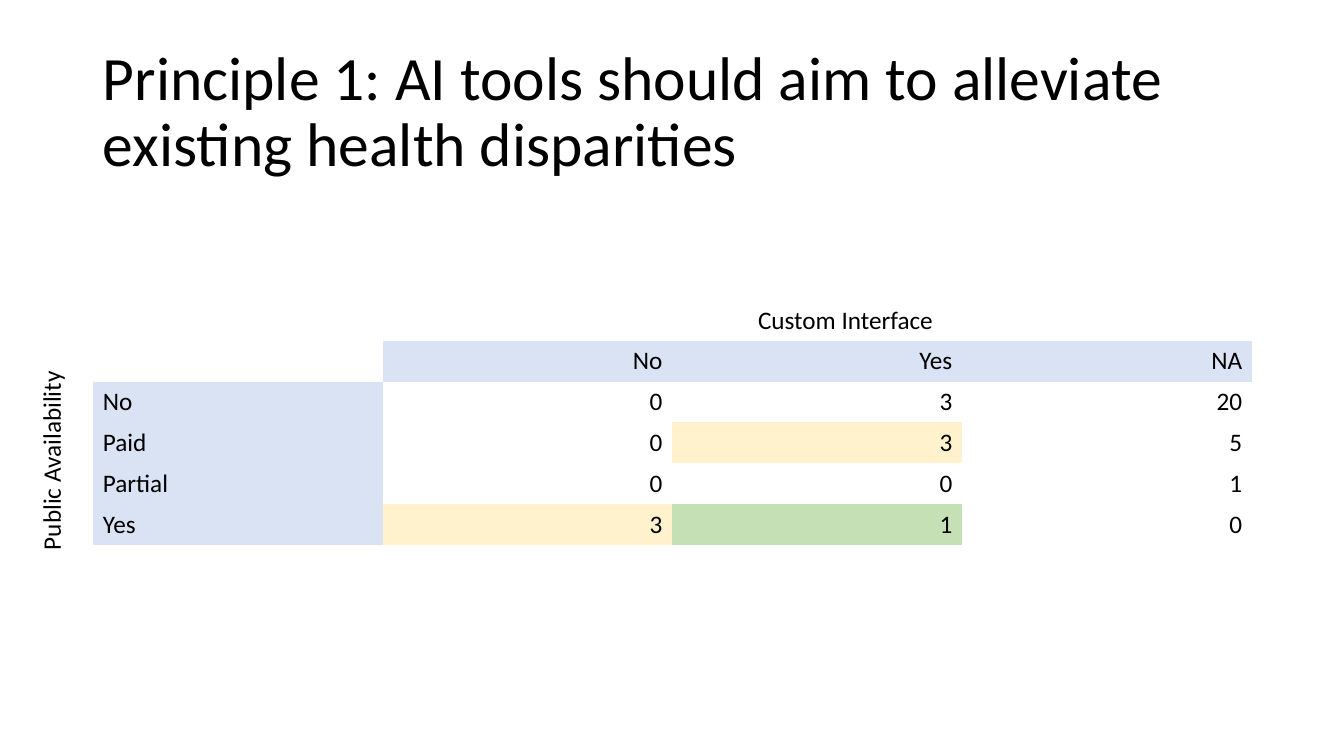
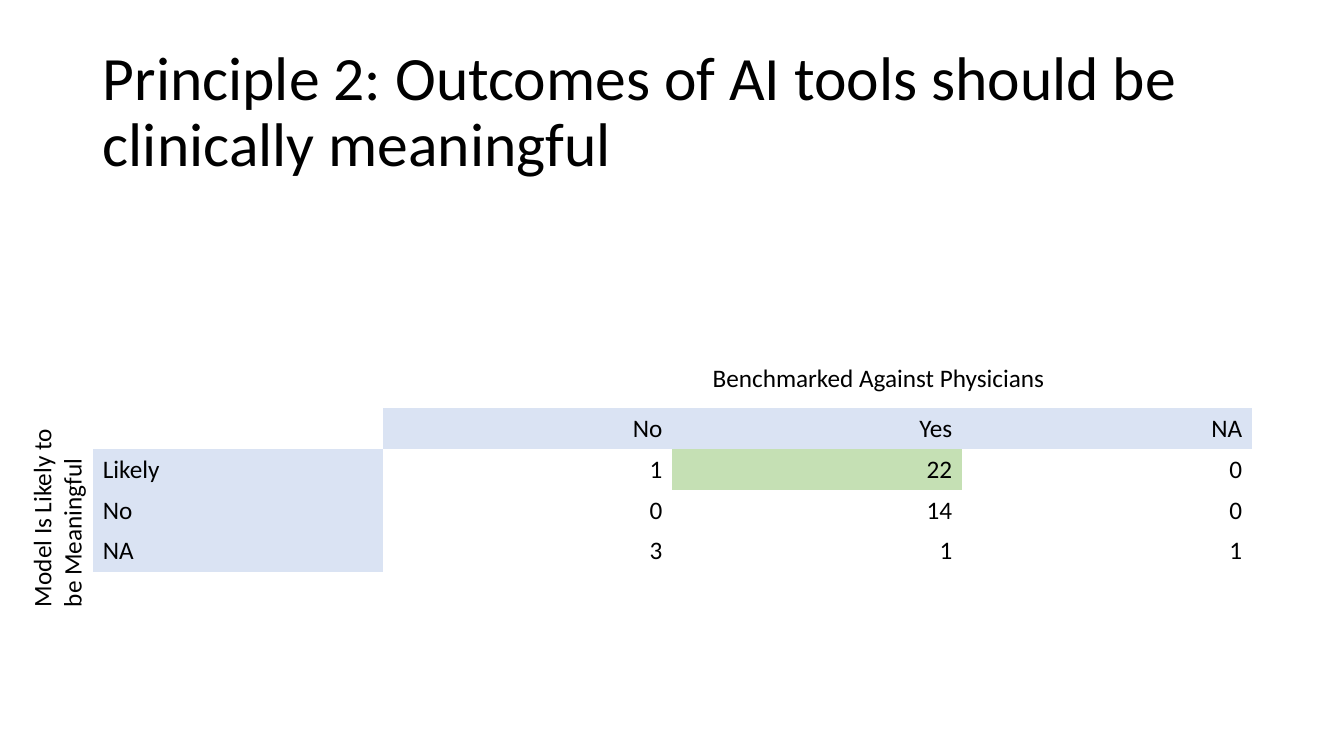
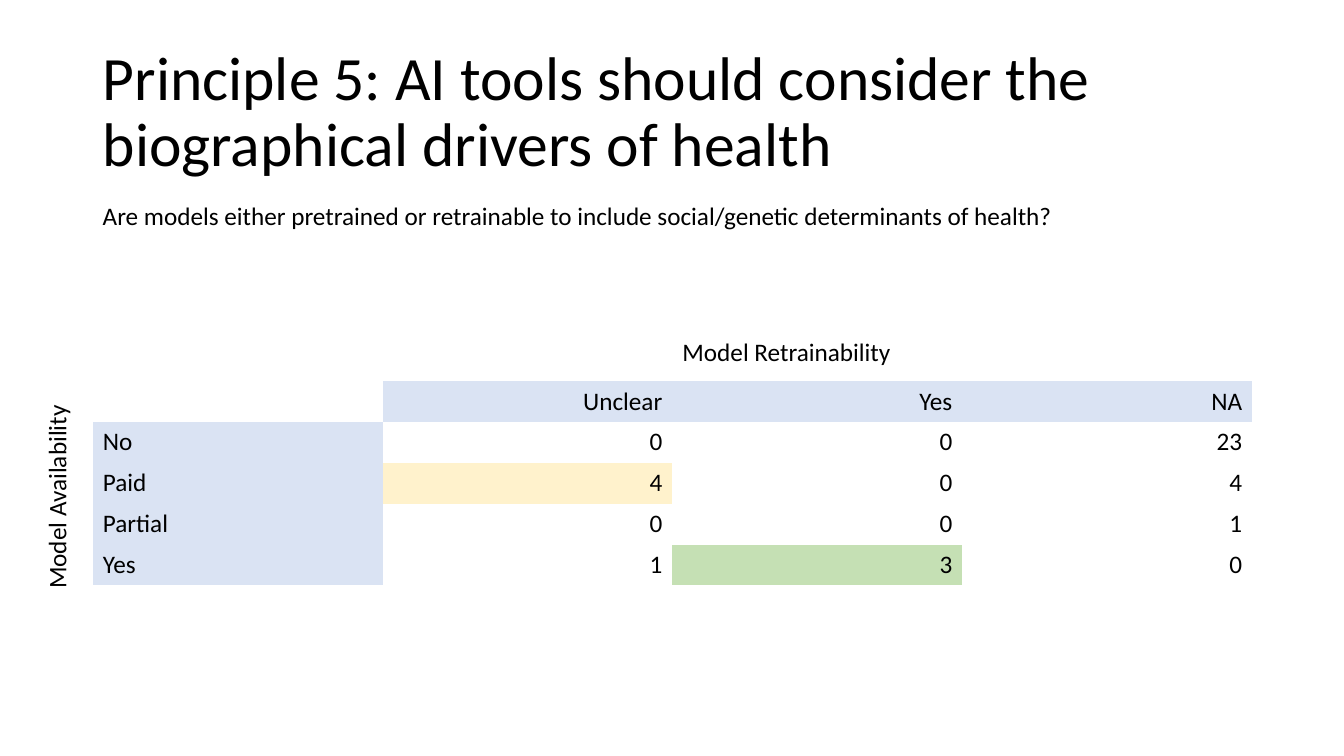
import pptx
import pptx.util
import pptx.dml.color
import pptx.enum.text

Inches = pptx.util.Inches
ALIGN = pptx.enum.text.PP_ALIGN
ANCHOR = pptx.enum.text.MSO_ANCHOR
FIT = pptx.enum.text.MSO_AUTO_SIZE

FONT = "Calibri"
BLACK, BLUE, GOLD, GREEN = "000000", "DAE3F3", "FFF2CC", "C5E0B4"
PLAIN = "{2D5ABB26-0587-4C30-8999-92F81FD0307C}"  # no style, no grid
LEFT, WIDE, ROW = 0.92, 11.5, 0.4


def color(code):
    return pptx.dml.color.RGBColor.from_string(code)


def write(frame, text, size=18, align=ALIGN.LEFT):
    para = frame.paragraphs[0]
    para.alignment = align
    run = para.add_run()
    run.text = text
    run.font.name = FONT
    run.font.size = pptx.util.Pt(size)
    run.font.color.rgb = color(BLACK)
    return para


def title(slide, text):
    shape = slide.shapes.title
    shape.left, shape.top = Inches(LEFT), Inches(0.4)
    shape.width, shape.height = Inches(WIDE), Inches(1.45)
    frame = shape.text_frame
    frame.auto_size = FIT.NONE
    frame.vertical_anchor = ANCHOR.MIDDLE
    write(frame, text, 44).line_spacing = 0.9


def label(slide, text, box, turn=0, wrap=False):
    shape = slide.shapes.add_textbox(*map(Inches, box))
    shape.rotation = turn
    frame = shape.text_frame
    frame.word_wrap = wrap
    frame.auto_size = FIT.SHAPE_TO_FIT_TEXT
    write(frame, text)


def grid(slide, top, heads, rows, marks):
    """Cross table; marks maps (row, column) to a highlight fill."""
    data = [["", *heads], *rows]
    frame = slide.shapes.add_table(
        len(data), len(data[0]), Inches(LEFT), Inches(top),
        Inches(WIDE), Inches(ROW * len(data)))
    table = frame.table
    table.first_row = table.horz_banding = False
    table._tbl.tblPr[0].text = PLAIN
    for r, line in enumerate(data):
        table.rows[r].height = Inches(ROW)
        for c, value in enumerate(line):
            cell = table.cell(r, c)
            cell.vertical_anchor = ANCHOR.MIDDLE
            # Headers are blue, the empty corner stays clear
            header = (r == 0) != (c == 0)
            fill = BLUE if header else marks.get((r, c))
            if fill:
                cell.fill.solid()
                cell.fill.fore_color.rgb = color(fill)
            else:
                cell.fill.background()
            if value != "":
                write(cell.text_frame, str(value),
                      align=ALIGN.RIGHT if c else ALIGN.LEFT)


def page(deck, head, top, cols, rows, marks, across, down, wrap=False):
    """Title, cross table and the names of its two axes."""
    slide = deck.slides.add_slide(deck.slide_layouts[5])
    title(slide, head)
    grid(slide, top, cols, rows, marks)
    label(slide, *across)
    label(slide, *down, turn=270, wrap=wrap)
    return slide


def main():
    deck = pptx.Presentation()
    deck.slide_width, deck.slide_height = Inches(13.33), Inches(7.5)

    # Health disparities
    page(deck, "Principle 1: AI tools should aim to alleviate existing health disparities",
         3.38, ["No", "Yes", "NA"],
         [["No", 0, 3, 20], ["Paid", 0, 3, 5], ["Partial", 0, 0, 1], ["Yes", 3, 1, 0]],
         {(2, 2): GOLD, (4, 1): GOLD, (4, 2): GREEN},
         ("Custom Interface", (7.42, 2.97, 1.96, 0.4)),
         ("Public Availability", (-0.49, 4.36, 1.99, 0.4)))

    # Clinical meaning
    page(deck, "Principle 2: Outcomes of AI tools should be clinically meaningful",
         4.05, ["No", "Yes", "NA"],
         [["Likely", 1, 22, 0], ["No", 0, 14, 0], ["NA", 3, 1, 1]],
         {(1, 2): GREEN},
         ("Benchmarked Against Physicians", (6.97, 3.55, 3.52, 0.4)),
         ("Model Is Likely to be Meaningful", (-0.52, 4.68, 2.17, 0.71)), wrap=True)

    # Biographical drivers
    slide = page(
        deck, "Principle 5: AI tools should consider the biographical drivers of health",
        3.78, ["Unclear", "Yes", "NA"],
        [["No", 0, 0, 23], ["Paid", 4, 0, 4], ["Partial", 0, 0, 1], ["Yes", 1, 3, 0]],
        {(2, 1): GOLD, (4, 2): GREEN},
        ("Model Retrainability", (6.67, 3.29, 2.29, 0.4)),
        ("Model Availability", (-0.46, 4.72, 2.04, 0.4)))
    label(slide, "Are models either pretrained or retrainable to include "
          "social/genetic determinants of health?", (LEFT, 1.94, 9.85, 0.4))

    deck.save("out.pptx")


if __name__ == "__main__":
    main()
